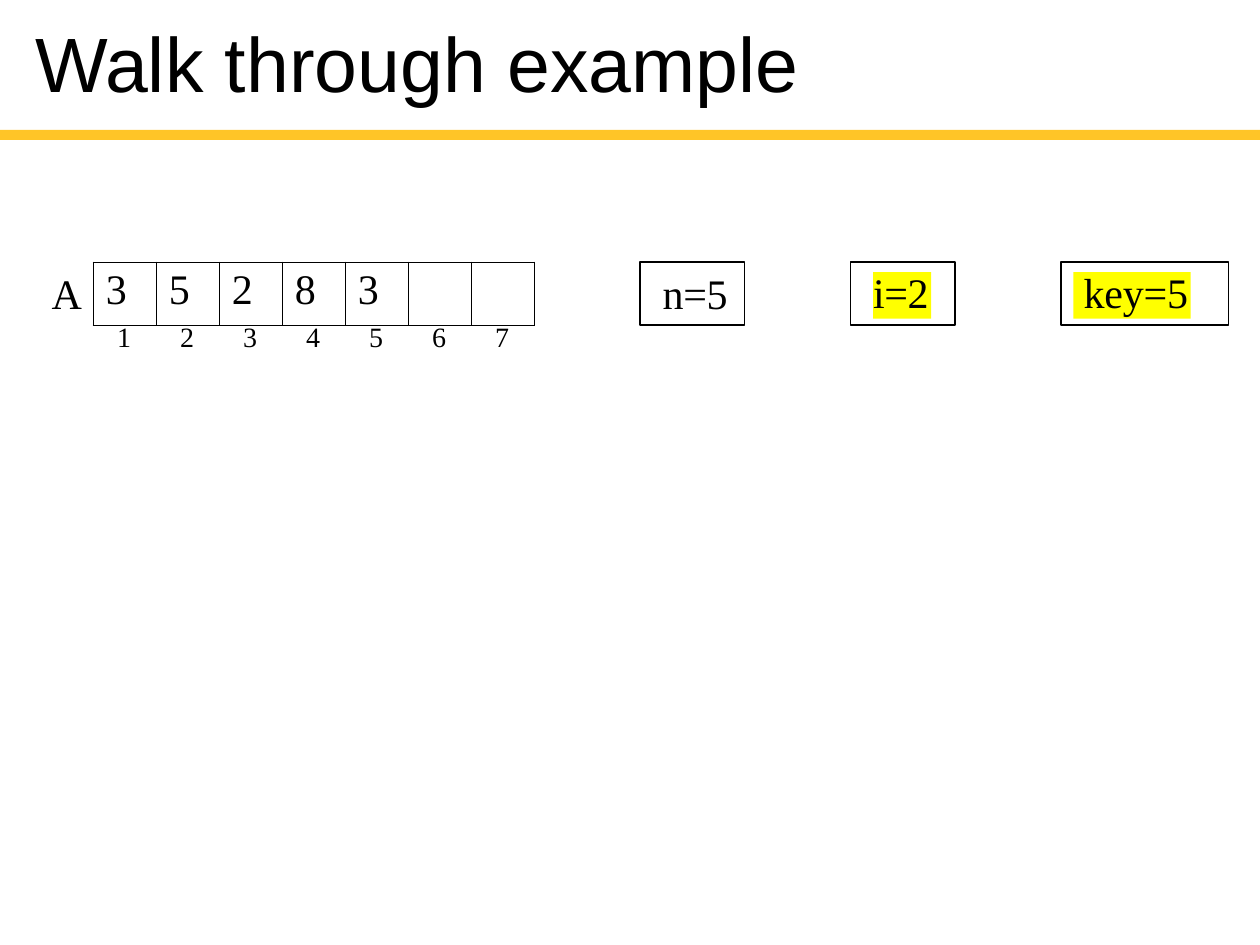
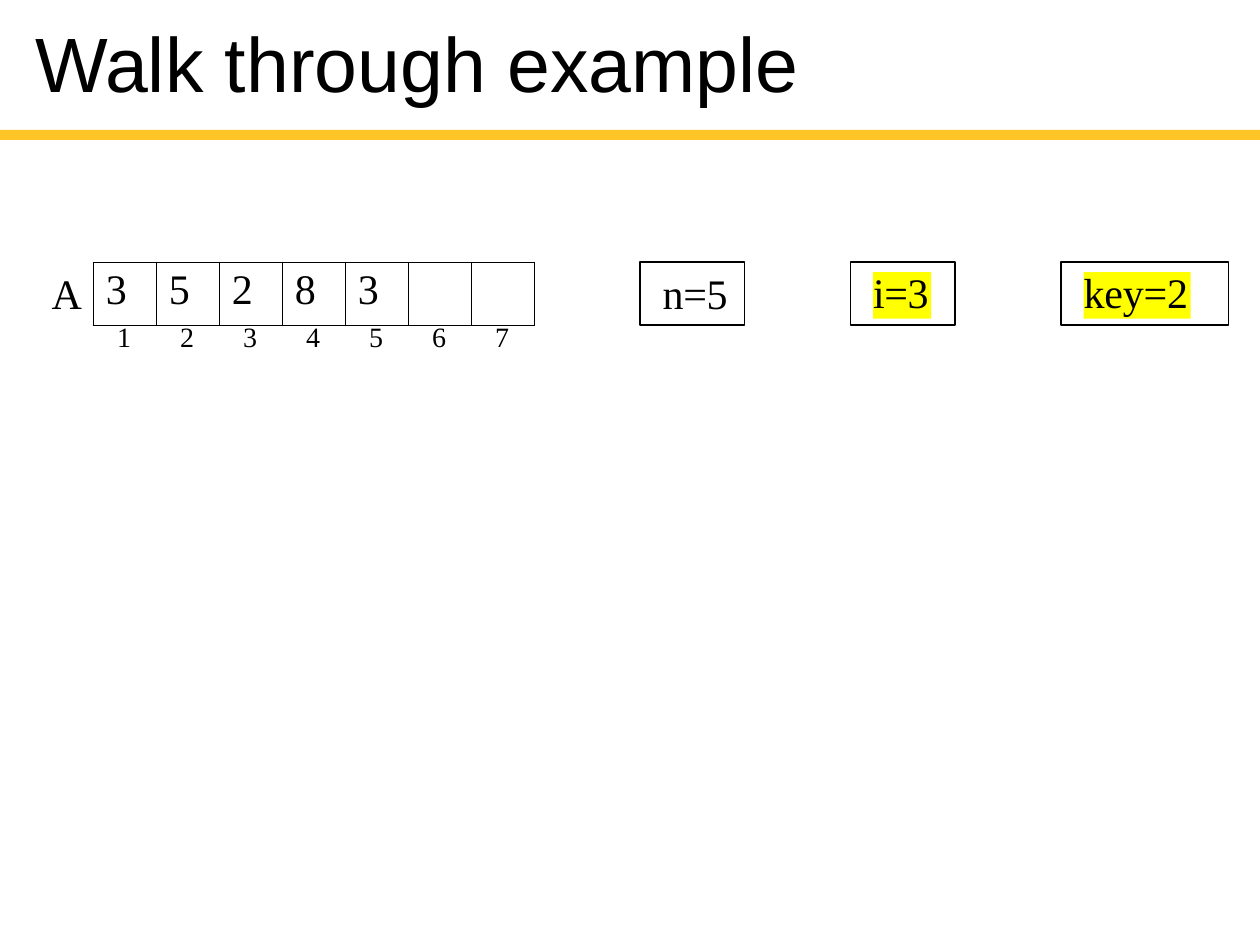
from dataclasses import dataclass
from typing import Any, Optional

from lxml.etree import SubElement
from pptx import Presentation
from pptx.dml.color import RGBColor
from pptx.enum.shapes import MSO_SHAPE as Preset
from pptx.enum.text import MSO_ANCHOR as Anchor, MSO_AUTO_SIZE as AutoSize, PP_ALIGN as Align
from pptx.oxml.ns import qn
from pptx.util import Inches, Pt


@dataclass(frozen=True)
class Theme:
    ink: RGBColor = RGBColor(0x00, 0x00, 0x00)
    band: RGBColor = RGBColor(0xFF, 0xC5, 0x27)
    highlight: RGBColor = RGBColor(0xFF, 0xFF, 0x00)
    title_font: str = "Arial"
    body_font: str = "Times New Roman"
    title_size: float = 44
    body_size: float = 24
    index_size: float = 16
    rule_width: float = 0.75


@dataclass(frozen=True)
class Area:
    left: float
    top: float
    width: float
    height: float

    def lengths(self) -> tuple:
        return tuple(Inches(n) for n in (self.left, self.top, self.width, self.height))


@dataclass(frozen=True)
class Words:
    text: str
    size: float
    font: str
    spacing: float = 0


@dataclass(frozen=True)
class ParagraphStyle:
    indent: float = 0
    before: float = 0
    line: Optional[float] = None


@dataclass(frozen=True)
class Step:
    i: int
    key: int
    key_indent: float


THEME = Theme()
SLIDE_WIDTH, SLIDE_HEIGHT = 10, 7.5
BAND_AREA = Area(0, 1.03, SLIDE_WIDTH, 0.08)
TITLE_AREA = Area(0.09, 0.11, 8.25, 0.79)
VALUES = (3, 5, 2, 8, 3)
CAPACITY = 7
CELL = 0.5
ROW_TOP = 2.08
ARRAY_AREA = Area(0.74, ROW_TOP, CAPACITY * CELL, CELL)
VARIABLE_LEFT, VARIABLE_STEP, VARIABLE_WIDTH = 5.08, 1.67, 0.83
KEY_WIDTH, KEY_TEXT_LEFT, KEY_TEXT_RIGHT = 1.33, 8.6, 9.45
HIGHLIGHT_TOP, HIGHLIGHT_HEIGHT = 2.16, 0.37
VALUE_STYLE = ParagraphStyle(indent=0.1, before=2.8)
STEPS = (Step(i=2, key=5, key_indent=0.08), Step(i=3, key=2, key_indent=0))


def body(text: str, spacing: float, size: float = THEME.body_size) -> Words:
    return Words(text, size, THEME.body_font, spacing)


def write(frame: Any, words: tuple[Words, ...], style: ParagraphStyle) -> Any:
    paragraph = frame.paragraphs[0]
    paragraph.alignment = Align.LEFT
    paragraph.space_before = Pt(style.before)
    if style.line:
        paragraph.line_spacing = Pt(style.line)
    properties = paragraph._p.get_or_add_pPr()
    properties.set("marL", str(Inches(style.indent)))
    properties.set("indent", "0")
    for part in words:
        run = paragraph.add_run()
        run.text = part.text
        run.font.size = Pt(part.size)
        run.font.name = part.font
        run.font.color.rgb = THEME.ink
        run._r.get_or_add_rPr().set("spc", str(round(part.spacing * 100)))
    return paragraph


def prepare(frame: Any, top_inset: float) -> None:
    frame.word_wrap = True
    frame.auto_size = AutoSize.NONE
    frame.vertical_anchor = Anchor.TOP
    frame.margin_left = frame.margin_right = frame.margin_bottom = 0
    frame.margin_top = Inches(top_inset)


def add_rectangle(slide: Any, area: Area, fill: Optional[RGBColor] = None) -> Any:
    rectangle = slide.shapes.add_shape(Preset.RECTANGLE, *area.lengths())
    rectangle.shadow.inherit = False
    if fill is not None:
        rectangle.fill.solid()
        rectangle.fill.fore_color.rgb = fill
        rectangle.line.fill.background()
    else:
        rectangle.fill.background()
        rectangle.line.color.rgb = THEME.ink
        rectangle.line.width = Pt(THEME.rule_width)
    return rectangle


def add_label(slide: Any, area: Area, words: Words, style: ParagraphStyle) -> Any:
    frame = slide.shapes.add_textbox(*area.lengths()).text_frame
    prepare(frame, 0.01)
    return write(frame, (words,), style)


def add_title(slide: Any) -> None:
    title = slide.shapes.title
    title.left, title.top, title.width, title.height = TITLE_AREA.lengths()
    prepare(title.text_frame, 0.01)
    words = (
        Words("Walk through ", THEME.title_size, THEME.title_font),
        Words("example", THEME.title_size, THEME.title_font, -0.1),
    )
    write(title.text_frame, words, ParagraphStyle(indent=0.19, before=1))


def share_band(slide: Any) -> None:
    band = add_rectangle(slide, BAND_AREA, THEME.band)
    slide.slide_layout.shapes._spTree.append(band._element)


def outline_cell(cell: Any) -> None:
    properties = cell._tc.get_or_add_tcPr()
    for side in ("a:lnL", "a:lnR", "a:lnT", "a:lnB"):
        border = SubElement(properties, qn(side), w=str(Pt(THEME.rule_width)))
        fill = SubElement(border, qn("a:solidFill"))
        SubElement(fill, qn("a:srgbClr"), val=str(THEME.ink))
    cell.fill.background()


def add_array(slide: Any) -> None:
    table = slide.shapes.add_table(1, CAPACITY, *ARRAY_AREA.lengths()).table
    table.first_row = table.horz_banding = False
    for cell in table.iter_cells():
        outline_cell(cell)
        cell.margin_left = cell.margin_right = cell.margin_bottom = 0
        cell.margin_top = Inches(0.04)
    for column, value in enumerate(VALUES):
        write(table.cell(0, column).text_frame, (body(str(value), -0.5),), VALUE_STYLE)

    add_label(slide, Area(0.4, 2.11, 0.27, 0.43), body("A", -0.5), ParagraphStyle(0.01, 1))
    positions = "\t".join(str(n + 1) for n in range(CAPACITY))
    indices = add_label(
        slide,
        Area(0.92, 2.53, 3.14, 0.29),
        body(positions, -0.5, THEME.index_size),
        ParagraphStyle(0.01, 0.9),
    )
    stops = SubElement(indices._p.get_or_add_pPr(), qn("a:tabLst"))
    for n in range(1, CAPACITY):
        SubElement(stops, qn("a:tab"), pos=str(Inches(0.01 + n * CELL)), algn="l")


def add_highlight(slide: Any, left: float, width: float, words: Words, indent: float = 0) -> None:
    area = Area(left, HIGHLIGHT_TOP, width, HIGHLIGHT_HEIGHT)
    frame = add_rectangle(slide, area, THEME.highlight).text_frame
    prepare(frame, 0)
    write(frame, (words,), ParagraphStyle(indent=indent, line=25.8))


def add_variables(slide: Any, step: Step) -> None:
    widths = (VARIABLE_WIDTH, VARIABLE_WIDTH, KEY_WIDTH)
    count, _, _ = (
        add_rectangle(slide, Area(VARIABLE_LEFT + n * VARIABLE_STEP, ROW_TOP, width, CELL))
        for n, width in enumerate(widths)
    )
    prepare(count.text_frame, 0.04)
    write(count.text_frame, (body(f"n={len(VALUES)}", -0.2),), ParagraphStyle(0.18, 2.8))

    add_highlight(slide, 6.93, 0.46, body(f"i={step.i}", -0.2))
    key_left = KEY_TEXT_LEFT - step.key_indent
    key_words = body(f"key={step.key}", -0.1)
    add_highlight(slide, key_left, KEY_TEXT_RIGHT - key_left, key_words, step.key_indent)


def main() -> None:
    deck = Presentation()
    deck.slide_width, deck.slide_height = Inches(SLIDE_WIDTH), Inches(SLIDE_HEIGHT)
    title_only = deck.slide_layouts[5]
    for number, step in enumerate(STEPS):
        slide = deck.slides.add_slide(title_only)
        if number == 0:
            share_band(slide)
        add_title(slide)
        add_array(slide)
        add_variables(slide, step)
    deck.save("out.pptx")


if __name__ == "__main__":
    main()
